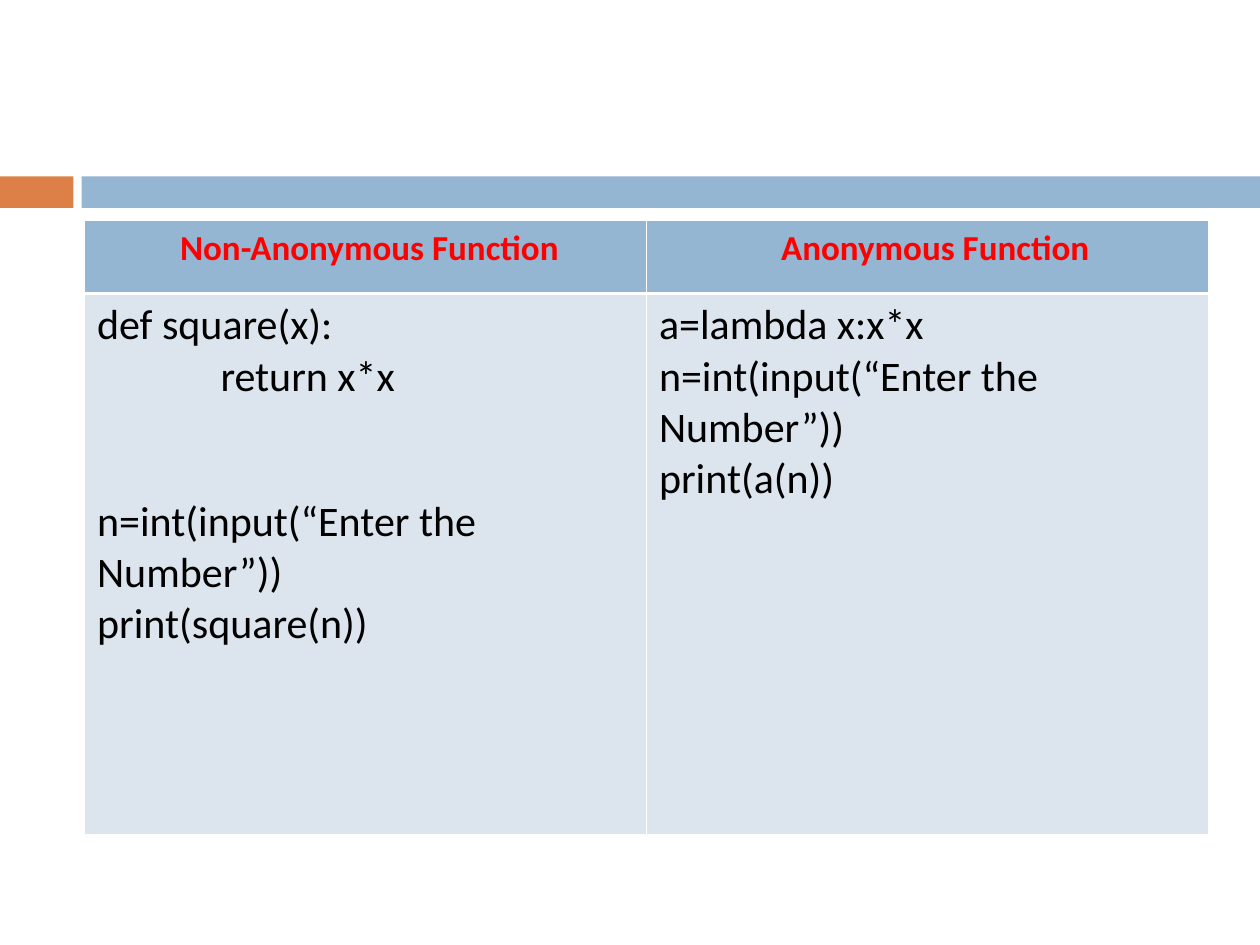
from dataclasses import dataclass

from lxml.etree import SubElement
from pptx import Presentation
from pptx.dml.color import RGBColor
from pptx.enum.shapes import MSO_SHAPE
from pptx.enum.text import PP_ALIGN
from pptx.oxml.ns import qn
from pptx.util import Pt


@dataclass(frozen=True)
class Theme:
    orange: str = "DD8047"
    blue: str = "94B6D2"
    pale_blue: str = "DCE5EE"
    white: str = "FFFFFF"
    red: str = "FF0000"
    black: str = "000000"
    font: str = "Calibri"
    header_size: float = 20
    code_size: float = 24
    thin_line: float = 0.45
    thick_line: float = 1.47


THEME = Theme()

# Each line of text is (text, left indent, space before).
HEADERS = [("Non-Anonymous Function", 4.5, 0), ("Anonymous Function", 9, 0)]
CODE = [
    [
        ("def square(x):", 0, 0),
        ("return x*x", 70.5, 0),
        ("n=int(input(“Enter the Number”))", 0, 53.6),
        ("print(square(n))", 0, 0),
    ],
    [
        ("a=lambda x:x*x", 0, 0),
        ("n=int(input(“Enter the Number”))", 0, 0),
        ("print(a(n))", 0, 0),
    ],
]


def write_text(paragraph, text, *, size, color, bold=False,
               align=PP_ALIGN.LEFT, indent=0, space_before=0):
    paragraph.alignment = align
    paragraph.space_before = Pt(space_before)
    paragraph._p.get_or_add_pPr().set("marL", str(int(Pt(indent))))
    run = paragraph.add_run()
    run.text = text
    run.font.name = THEME.font
    run.font.size = Pt(size)
    run.font.bold = bold
    run.font.color.rgb = RGBColor.from_string(color)


def add_bar(slide, left, top, width, height, color):
    bar = slide.shapes.add_shape(
        MSO_SHAPE.RECTANGLE, Pt(left), Pt(top), Pt(width), Pt(height))
    bar.shadow.inherit = False
    bar.fill.solid()
    bar.fill.fore_color.rgb = RGBColor.from_string(color)
    bar.line.fill.background()


def add_divider(slide, left, top, width, height):
    """Draw the short orange bar and the long blue bar after a gap."""
    short_width, gap = 42, 4.7
    long_left = short_width + gap
    add_bar(slide, left, top, short_width, height, THEME.orange)
    add_bar(slide, left + long_left, top, width - long_left, height, THEME.blue)


def set_borders(cell, **widths):
    """Draw white borders; widths are keyed by side, in the order L, R, T, B."""
    properties = cell._tc.get_or_add_tcPr()
    for side, width in widths.items():
        line = SubElement(properties, qn(f"a:ln{side}"), w=str(int(Pt(width))))
        fill = SubElement(line, qn("a:solidFill"))
        SubElement(fill, qn("a:srgbClr"), val=THEME.white)


def fill_cell(cell, lines, background, top_line, bottom_line, **text_format):
    set_borders(cell, L=THEME.thin_line, R=THEME.thin_line,
                T=top_line, B=bottom_line)
    cell.fill.solid()
    cell.fill.fore_color.rgb = RGBColor.from_string(background)
    frame = cell.text_frame
    for index, (text, indent, space_before) in enumerate(lines):
        paragraph = frame.add_paragraph() if index else frame.paragraphs[0]
        write_text(paragraph, text, indent=indent,
                   space_before=space_before, **text_format)


def add_comparison_table(slide, left, top, width, height):
    header_height = 41.8
    table = slide.shapes.add_table(
        2, len(HEADERS), Pt(left), Pt(top), Pt(width), Pt(height)).table
    table.rows[0].height = Pt(header_height)
    table.rows[1].height = Pt(height - header_height)
    for column, (header, code) in enumerate(zip(HEADERS, CODE)):
        table.columns[column].width = Pt(width / len(HEADERS))
        fill_cell(table.cell(0, column), [header], THEME.blue,
                  THEME.thin_line, THEME.thick_line, size=THEME.header_size,
                  color=THEME.red, bold=True, align=PP_ALIGN.CENTER)
        fill_cell(table.cell(1, column), code, THEME.pale_blue,
                  THEME.thick_line, THEME.thin_line, size=THEME.code_size,
                  color=THEME.black)


def main():
    presentation = Presentation()
    presentation.slide_width = Pt(720)
    presentation.slide_height = Pt(540)
    blank_layout = presentation.slide_layouts[6]
    slide = presentation.slides.add_slide(blank_layout)
    add_divider(slide, 0, 100.8, 720, 18)
    add_comparison_table(slide, 48.3, 126, 642.2, 350.6)
    presentation.save("out.pptx")


if __name__ == "__main__":
    main()
